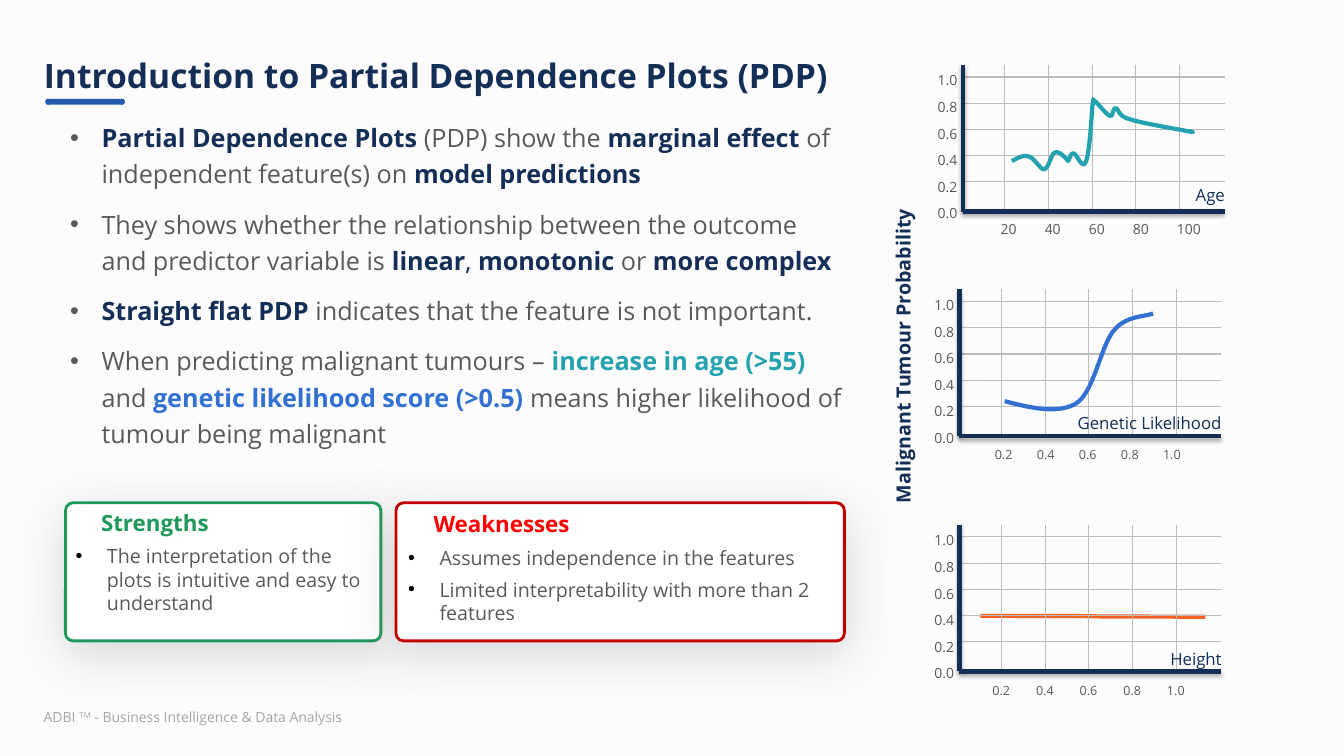
"""Builds a slide that introduces partial dependence plots."""
from lxml import etree
from pptx import Presentation
from pptx.dml.color import RGBColor
from pptx.enum import shapes, text
from pptx.oxml import ns
from pptx.util import Cm, Pt

NAVY = RGBColor(0x13, 0x2E, 0x57)
GREY = RGBColor(0x57, 0x59, 0x5D)
PALE = RGBColor(0xA5, 0xA5, 0xA5)
GRID = RGBColor(0xBB, 0xBC, 0xBF)
ACCENT = RGBColor(0x25, 0x5B, 0xAC)
TEAL = RGBColor(0x24, 0xA2, 0xAF)
BLUE = RGBColor(0x32, 0x71, 0xD2)
ORANGE = RGBColor(0xFA, 0x61, 0x1C)
GREEN = RGBColor(0x1F, 0x99, 0x5B)
DARK_RED = RGBColor(0xC0, 0x00, 0x00)
RED = RGBColor(0xFF, 0x00, 0x00)
BLACK = RGBColor(0, 0, 0)
WHITE = RGBColor(0xFF, 0xFF, 0xFF)
BACKDROP = RGBColor(0xFC, 0xFC, 0xFC)
FONT = "Open Sans"

TITLE = "Introduction to Partial Dependence Plots (PDP)"
FOOTER = [("ADBI ", False), ("TM", True), (" - Business Intelligence & Data Analysis", False)]
UNDERLINE = [
    (shapes.MSO_SHAPE.FLOWCHART_ALTERNATE_PROCESS, 1.17, 1.93),
    (shapes.MSO_SHAPE.OVAL, 1.14, 0.15),
    (shapes.MSO_SHAPE.OVAL, 3.0, 0.15),
]
POINTS = [
    [("Partial Dependence Plots ", NAVY, True), ("(PDP) show the ", GREY, False),
     ("marginal effect ", NAVY, True), ("of independent feature(s) on ", GREY, False),
     ("model predictions", NAVY, True)],
    [("They shows whether the relationship between the outcome and predictor variable is ", GREY, False),
     ("linear", NAVY, True), (", ", NAVY, False), ("monotonic ", NAVY, True),
     ("or ", GREY, False), ("more complex", NAVY, True)],
    [("Straight flat PDP ", NAVY, True),
     ("indicates that the feature is not important.", GREY, False)],
    [("When predicting malignant tumours – ", GREY, False), ("increase in age (>55)", TEAL, True),
     (" and ", GREY, False), ("genetic likelihood score (>0.5) ", BLUE, True),
     ("means higher likelihood of tumour being malignant", GREY, False)],
]
CARDS = [
    dict(heading="Strengths", ink=GREEN, border=GREEN, left=1.65, width=7.95, insets=(0.2, 0.1, 0.1, 0.1),
         items=["The interpretation of the plots is intuitive and easy to understand"]),
    dict(heading="Weaknesses", ink=RED, border=DARK_RED, left=9.98, width=11.3, insets=(0.25, 0.13, 0.25, 0.13),
         items=["Assumes independence in the features",
                "Limited interpretability with more than 2 features"]),
]
AXIS_TITLE = "Malignant Tumour Probability"
PROBABILITIES = ["0.0", "0.2", "0.4", "0.6", "0.8", "1.0"]
SCORES = PROBABILITIES[1:]
AGE_CURVE = [
    (25.5, 4.06), (25.65, 3.99), (25.78, 3.89), (25.91, 3.94), (26.06, 3.96), (26.21, 4.27),
    (26.31, 4.27), (26.44, 4.24), (26.49, 3.86), (26.59, 3.84), (26.7, 3.78), (26.92, 4.06),
    (26.92, 4.06), (26.95, 4.04), (26.97, 3.86), (27.05, 3.86), (27.13, 3.86), (27.28, 4.29),
    (27.36, 4.09), (27.46, 3.89), (27.51, 2.92), (27.53, 2.67), (27.58, 2.41), (27.51, 2.51),
    (27.58, 2.54), (27.66, 2.59), (27.89, 2.9), (27.97, 2.92), (28.07, 2.97), (28.02, 2.72),
    (28.12, 2.72), (28.19, 2.74), (28.17, 2.92), (28.45, 3.0), (28.75, 3.1), (29.64, 3.25),
    (29.9, 3.3), (30.15, 3.35), (30.07, 3.33), (29.97, 3.3)]
GENETIC_CURVE = [
    (25.32, 10.11), (26.01, 10.29), (26.67, 10.44), (27.13, 10.16), (27.58, 9.86),
    (27.74, 8.71), (28.07, 8.33), (28.37, 7.95), (28.88, 7.98), (29.06, 7.9)]
HEIGHT_CURVE = [(24.71, 15.52), (30.38, 15.54)]
PLOTS = [
    dict(feature="Age", feature_drop=2.9, left=24.26, top=1.63, ticks=["20", "40", "60", "80", "100"],
         tick_start=0.71, tick_gap=1.11, tick_drop=3.81, tick_size=10, curve=AGE_CURVE, ink=TEAL),
    dict(feature="Genetic Likelihood", feature_drop=2.98, left=24.18, top=7.29, ticks=SCORES,
         tick_start=0.64, tick_gap=1.06, tick_drop=3.84, tick_size=9, curve=GENETIC_CURVE, ink=BLUE),
    dict(feature="Height", feature_drop=3.0, left=24.18, top=13.22, ticks=SCORES,
         tick_start=0.58, tick_gap=1.1, tick_drop=3.87, tick_size=9, curve=HEIGHT_CURVE, ink=ORANGE),
]
PLOT_WIDTH, PLOT_HEIGHT = 6.6, 3.7
GRID_COUNT = 5
COLUMN_START, COLUMN_GAP = 1.06, 1.1
ROW_START, ROW_GAP = 0.31, 0.66


def add_run(paragraph, wording, size, ink, bold=False):
    run = paragraph.add_run()
    run.text = wording
    run.font.name, run.font.size, run.font.bold = FONT, Pt(size), bold
    run.font.color.rgb = ink
    return run


def next_paragraph(frame):
    return frame.paragraphs[0] if not frame.paragraphs[0].runs else frame.add_paragraph()


def set_bullet(paragraph, margin, hanging, ink):
    props = paragraph._p.get_or_add_pPr()
    props.set("marL", str(Cm(margin)))
    props.set("indent", str(-Cm(hanging)))
    bullet_ink = etree.SubElement(props, ns.qn("a:buClr"))
    etree.SubElement(bullet_ink, ns.qn("a:srgbClr"), val=str(ink))
    etree.SubElement(props, ns.qn("a:buFont"), typeface="Arial")
    etree.SubElement(props, ns.qn("a:buChar"), char="•")


def set_insets(frame, left, top, right, bottom):
    frame.margin_left, frame.margin_top = Cm(left), Cm(top)
    frame.margin_right, frame.margin_bottom = Cm(right), Cm(bottom)


def set_shadow(part, ink=None, alpha=0, blur=0, distance=0):
    effects = etree.SubElement(part._element.spPr, ns.qn("a:effectLst"))
    if ink is not None:
        shadow = etree.SubElement(effects, ns.qn("a:outerShdw"), blurRad=str(Pt(blur)),
                                  dist=str(Pt(distance)), dir="5400000", rotWithShape="0")
        tone = etree.SubElement(shadow, ns.qn("a:srgbClr"), val=ink)
        etree.SubElement(tone, ns.qn("a:alpha"), val=str(alpha * 1000))


def add_label(canvas, left, top, width, height):
    frame = canvas.add_textbox(Cm(left), Cm(top), Cm(width), Cm(height)).text_frame
    frame.word_wrap = True
    frame.auto_size = text.MSO_AUTO_SIZE.SHAPE_TO_FIT_TEXT
    return frame


def add_line(canvas, start, end, ink, weight, style=shapes.MSO_CONNECTOR.STRAIGHT):
    line = canvas.add_connector(style, *map(Cm, start + end))
    line.line.color.rgb, line.line.width = ink, Pt(weight)
    return line


def add_curve(canvas, knots, ink):
    spots = [(Cm(x), Cm(y)) for x, y in knots]
    builder = canvas.build_freeform(*spots[0], scale=1.0)
    builder.add_line_segments(spots[3::3], close=False)
    curve = builder.convert_to_shape()
    left, top = curve.left, curve.top
    for index, segment in enumerate(list(curve._element.iter(ns.qn("a:lnTo")))):
        bend = etree.Element(ns.qn("a:cubicBezTo"))
        for x, y in spots[3 * index + 1:3 * index + 4]:
            etree.SubElement(bend, ns.qn("a:pt"), x=str(x - left), y=str(y - top))
        segment.getparent().replace(segment, bend)
    curve.shadow.inherit = False
    curve.fill.background()
    curve.line.color.rgb, curve.line.width = ink, Pt(3)


def add_plot(slide, plot):
    canvas = slide.shapes.add_group_shape().shapes
    left, top, knots = plot["left"], plot["top"], plot["curve"]
    right, bottom = left + PLOT_WIDTH, top + PLOT_HEIGHT
    flat = len(knots) == 2
    if flat:
        set_shadow(add_line(canvas, *knots, plot["ink"], 3, shapes.MSO_CONNECTOR.CURVE))
    for index in range(GRID_COUNT):
        x, y = left + COLUMN_START + index * COLUMN_GAP, top + ROW_START + index * ROW_GAP
        for start, end in (((x, top), (x, bottom)), ((left, y), (right, y))):
            set_shadow(add_line(canvas, start, end, GRID, 0.75))
    for end in ((left, top), (right, bottom)):
        set_shadow(add_line(canvas, (left, bottom), end, NAVY, 3), "000000", 35, 3.1, 1.8)
    for index, value in enumerate(PROBABILITIES):
        label = add_label(canvas, left - 0.88, top + 3.41 - index * 0.67, 1.3, 0.56)
        add_run(label.paragraphs[0], value, 10, GREY)
    for index, value in enumerate(plot["ticks"]):
        label = add_label(canvas, left + plot["tick_start"] + index * plot["tick_gap"],
                          top + plot["tick_drop"], 1.3, 0.62)
        add_run(label.paragraphs[0], value, plot["tick_size"], GREY)
    if not flat:
        add_curve(canvas, knots, plot["ink"])
    feature = add_label(slide.shapes, left + 1.36, top + plot["feature_drop"], 5.5, 0.77).paragraphs[0]
    feature.alignment = text.PP_ALIGN.RIGHT
    add_run(feature, plot["feature"], 12, NAVY)


def add_card(slide, card):
    panel = slide.shapes.add_shape(shapes.MSO_SHAPE.ROUNDED_RECTANGLE, Cm(card["left"]), Cm(12.67),
                                   Cm(card["width"]), Cm(3.48))
    panel.adjustments[0] = 0.056
    panel.fill.solid()
    panel.fill.fore_color.rgb = WHITE
    panel.line.color.rgb, panel.line.width = card["border"], Pt(2)
    set_shadow(panel, "808080", 29, 39, 9)
    frame = panel.text_frame
    frame.vertical_anchor = text.MSO_ANCHOR.TOP
    set_insets(frame, *card["insets"])
    heading = next_paragraph(frame)
    heading.alignment = text.PP_ALIGN.LEFT
    heading._p.get_or_add_pPr().set("marL", str(Cm(0.64)))
    add_run(heading, card["heading"], 16, card["ink"], True)
    for item in card["items"]:
        paragraph = next_paragraph(frame)
        set_bullet(paragraph, 0.79, 0.79, BLACK)
        paragraph.alignment, paragraph.space_before = text.PP_ALIGN.LEFT, Pt(6)
        add_run(paragraph, item, 14, GREY)


def main():
    deck = Presentation()
    deck.slide_width, deck.slide_height = Cm(33.87), Cm(19.05)
    slide = deck.slides.add_slide(deck.slide_layouts[5])
    slide.background.fill.solid()
    slide.background.fill.fore_color.rgb = BACKDROP

    title = slide.shapes.title
    title.left, title.top, title.width, title.height = Cm(0.85), Cm(0.97), Cm(32.13), Cm(1.96)
    title.text_frame.vertical_anchor = text.MSO_ANCHOR.MIDDLE
    heading = title.text_frame.paragraphs[0]
    heading.alignment, heading.line_spacing = text.PP_ALIGN.LEFT, 0.9
    add_run(heading, TITLE, 24, NAVY, True)
    for outline, left, width in UNDERLINE:
        stroke = slide.shapes.add_shape(outline, Cm(left), Cm(2.49), Cm(width), Cm(0.15))
        stroke.shadow.inherit = False
        stroke.fill.solid()
        stroke.fill.fore_color.rgb = ACCENT
        stroke.line.fill.background()

    footer = add_label(slide.shapes, 0.85, 17.73, 8.76, 0.69).paragraphs[0]
    for wording, raised in FOOTER:
        run = add_run(footer, wording, 10, PALE)
        if raised:
            run.font._element.set("baseline", "30000")

    body = slide.shapes.add_textbox(Cm(1.14), Cm(2.93), Cm(20.22), Cm(14.6)).text_frame
    body.word_wrap = True
    set_insets(body, 0, 0, 0, 0)
    for index, runs in enumerate(POINTS):
        paragraph = next_paragraph(body)
        set_bullet(paragraph, 1.42, 0.79, GREY)
        paragraph.line_spacing, paragraph.space_before = 1.2, Pt(10 if index else 0)
        for wording, ink, bold in runs:
            add_run(paragraph, wording, 18, ink, bold)

    for card in CARDS:
        add_card(slide, card)
    axis_title = add_label(slide.shapes, 22.33, 3.91, 1.12, 9.02)
    axis_title._txBody.bodyPr.set("vert", "vert270")
    add_run(axis_title.paragraphs[0], AXIS_TITLE, 14, NAVY, True)
    for plot in PLOTS:
        add_plot(slide, plot)
    deck.save("out.pptx")


if __name__ == "__main__":
    main()
